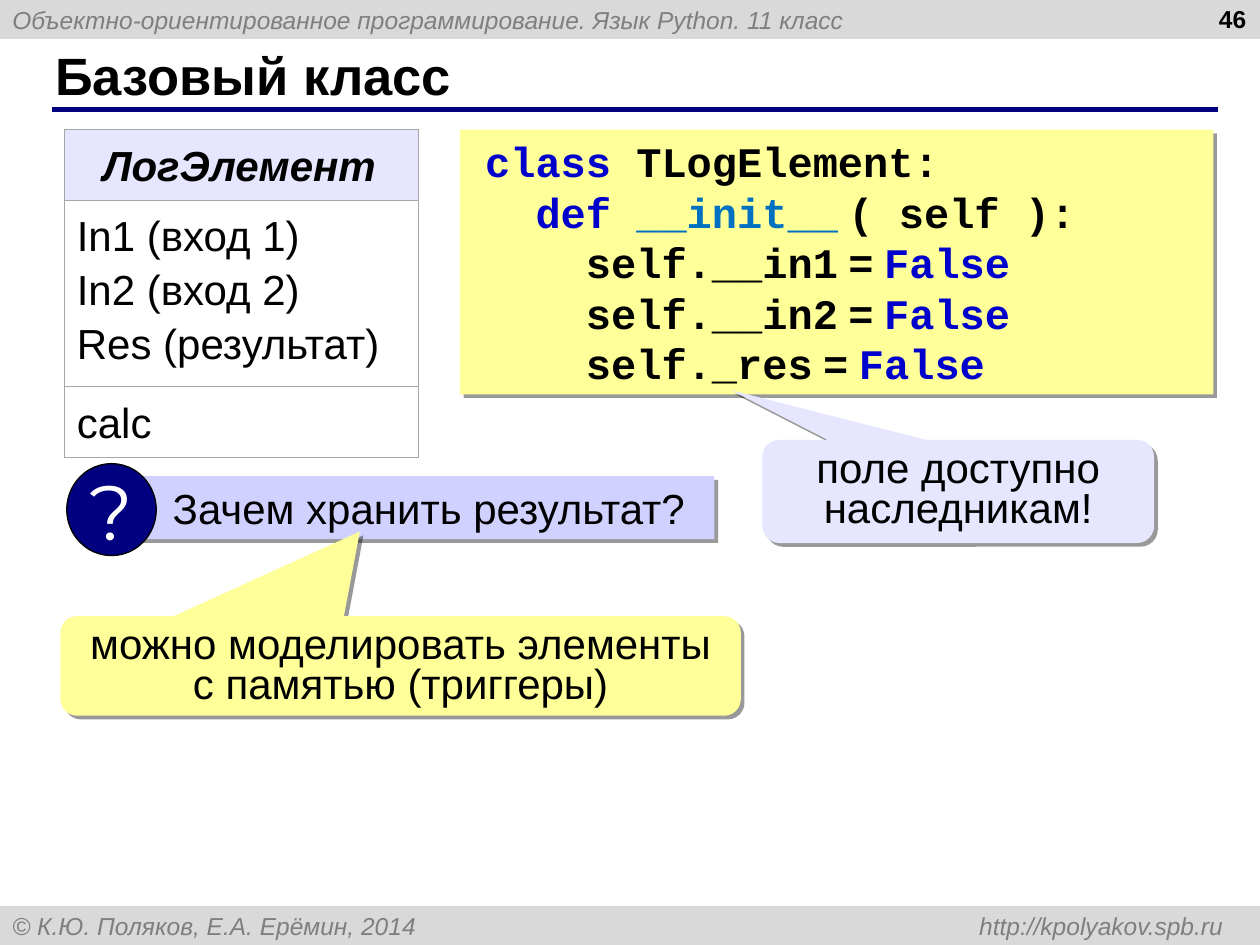
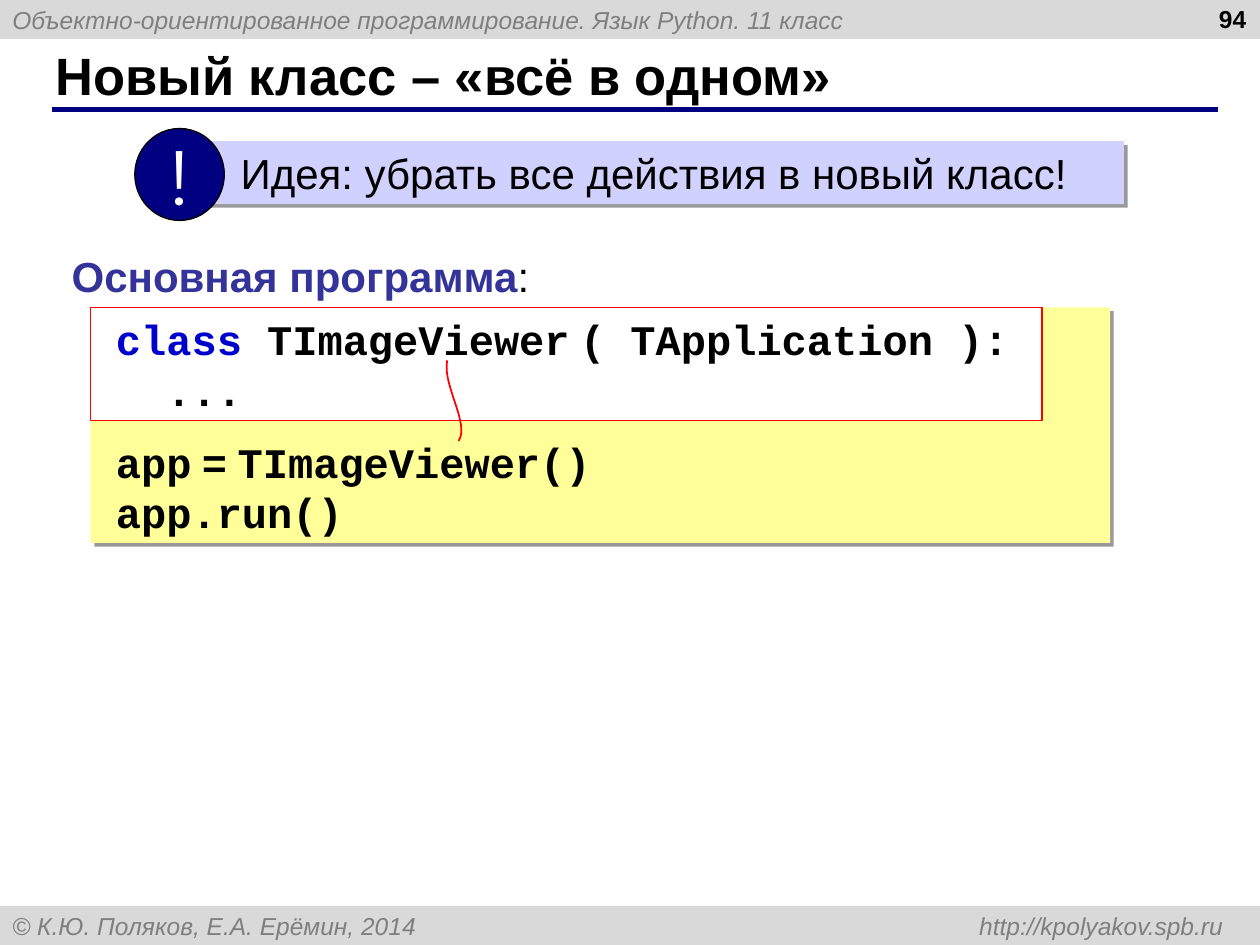
"""Build two slides on object-oriented programming: the base class and the all-in-one class."""
from lxml.etree import SubElement
from pptx import Presentation
from pptx.dml.color import RGBColor
from pptx.enum.shapes import MSO_CONNECTOR, MSO_SHAPE
from pptx.enum.text import MSO_ANCHOR, PP_ALIGN
from pptx.oxml.ns import qn
from pptx.util import Inches, Pt

BLACK = RGBColor(0x00, 0x00, 0x00)
WHITE = RGBColor(0xFF, 0xFF, 0xFF)
BAND_GREY = RGBColor(0xD9, 0xD9, 0xD9)
TEXT_GREY = RGBColor(0x7F, 0x7F, 0x7F)
BORDER_GREY = RGBColor(0xA6, 0xA6, 0xA6)
NAVY = RGBColor(0x00, 0x00, 0x80)
HEADING_BLUE = RGBColor(0x33, 0x33, 0x99)
KEYWORD_BLUE = RGBColor(0x00, 0x00, 0xCC)
METHOD_BLUE = RGBColor(0x00, 0x70, 0xC0)
YELLOW = RGBColor(0xFF, 0xFF, 0x99)
LILAC = RGBColor(0xD1, 0xD1, 0xFF)
PALE_LILAC = RGBColor(0xE6, 0xE6, 0xFF)
RED = RGBColor(0xFF, 0x00, 0x00)

BODY = {"name": "Arial", "size": Pt(24), "bold": False, "italic": False, "color": BLACK}
TITLE = {**BODY, "size": Pt(30), "bold": True}
BAND = {**BODY, "size": Pt(14), "italic": True, "color": TEXT_GREY}
NUMBER = {**BODY, "size": Pt(14), "bold": True}
BADGE = {**BODY, "name": "Montserrat", "size": Pt(44), "color": WHITE}
CODE = {**BODY, "name": "Courier New", "bold": True}
KEYWORD = {"color": KEYWORD_BLUE}
GAP = (" ", {"size": Pt(10)})


def add_box(shapes, kind, place, fill, line=None, shadow=False):
    """Add a filled preset shape with an optional outline and offset shadow."""
    shape = shapes.add_shape(kind, *map(Inches, place))
    shape.fill.solid()
    shape.fill.fore_color.rgb = fill
    if line is None:
        shape.line.fill.background()
    else:
        shape.line.color.rgb = line
        shape.line.width = Pt(0.75)
    shape.shadow.inherit = False
    if shadow:
        effects = shape._element.spPr.find(qn("a:effectLst"))
        outer = SubElement(effects, qn("a:outerShdw"), blurRad="0", dist=str(Pt(3)),
                           dir="2700000", algn="ctr", rotWithShape="0")
        colour = SubElement(outer, qn("a:srgbClr"), val=str(BLACK))
        SubElement(colour, qn("a:alpha"), val="40000")
    return shape


def write(frame, paragraphs, style, align=PP_ALIGN.LEFT, anchor=MSO_ANCHOR.TOP,
          spacing=None, left=0.1, wrap=True):
    """Fill a text frame with paragraphs, each a string or a list of (text, overrides)."""
    frame.word_wrap = wrap
    frame.vertical_anchor = anchor
    frame.margin_left = Inches(left)
    for index, content in enumerate(paragraphs):
        paragraph = frame.add_paragraph() if index else frame.paragraphs[0]
        paragraph.alignment = align
        paragraph.line_spacing = spacing
        for text, overrides in [(content, {})] if isinstance(content, str) else content:
            run = paragraph.add_run()
            run.text = text
            for attribute, value in {**style, **overrides}.items():
                if attribute == "color":
                    run.font.color.rgb = value
                else:
                    setattr(run.font, attribute, value)


presentation = Presentation()
presentation.slide_width = Inches(10)
presentation.slide_height = Inches(7.5)

slides = []
for title, number in [("Базовый класс", "46"), ("Новый класс – «всё в одном»", "94")]:
    slide = presentation.slides.add_slide(presentation.slide_layouts[6])
    slides.append(slide)
    header = add_box(slide.shapes, MSO_SHAPE.RECTANGLE, (0, 0, 10, 0.31), BAND_GREY)
    write(header.text_frame, ["Объектно-ориентированное программирование. Язык Python. 11 класс"],
          BAND, anchor=MSO_ANCHOR.MIDDLE)
    footer = add_box(slide.shapes, MSO_SHAPE.RECTANGLE, (0, 7.19, 10, 0.31), BAND_GREY)
    properties = footer.text_frame.paragraphs[0]._p.get_or_add_pPr()
    SubElement(SubElement(properties, qn("a:tabLst")), qn("a:tab"), pos=str(Inches(9.61)), algn="r")
    write(footer.text_frame, ["© К.Ю. Поляков, Е.А. Ерёмин, 2014 \thttp://kpolyakov.spb.ru"],
          BAND, anchor=MSO_ANCHOR.MIDDLE)
    rule = slide.shapes.add_connector(MSO_CONNECTOR.STRAIGHT, Inches(0.41), Inches(0.87),
                                      Inches(9.67), Inches(0.87))
    rule.line.color.rgb = NAVY
    rule.line.width = Pt(3)
    SubElement(rule._element.spPr, qn("a:effectLst"))
    title_box = slide.shapes.add_textbox(*map(Inches, (0.34, 0.33, 9.16, 0.52)))
    write(title_box.text_frame, [title], TITLE, anchor=MSO_ANCHOR.MIDDLE)
    number_box = slide.shapes.add_textbox(*map(Inches, (7.66, -0.02, 2.33, 0.52)))
    write(number_box.text_frame, [number], NUMBER, align=PP_ALIGN.RIGHT)

base_slide, viewer_slide = slides

class_rows = [
    (0.46, ["ЛогЭлемент"], PP_ALIGN.CENTER, {**BODY, "bold": True, "italic": True}),
    (1.38, ["In1 (вход 1)", "In2 (вход 2)", "Res (результат)"], PP_ALIGN.JUSTIFY, BODY),
    (0.46, ["calc"], PP_ALIGN.JUSTIFY, BODY),
]
class_table = base_slide.shapes.add_table(3, 1, *map(Inches, (0.51, 1.03, 2.81, 2.3))).table
class_table.first_row = False
class_table.horz_banding = False
for index, (height, lines, align, style) in enumerate(class_rows):
    class_table.rows[index].height = Inches(height)
    cell = class_table.cell(index, 0)
    write(cell.text_frame, lines, style, align=align, spacing=1.15, left=0.13)
    cell.margin_right = Inches(0.13)
    cell_properties = cell._tc.get_or_add_tcPr()
    for side in ("lnL", "lnR", "lnT", "lnB"):
        border = SubElement(cell_properties, qn(f"a:{side}"), w=str(Pt(0.45)))
        SubElement(SubElement(border, qn("a:solidFill")), qn("a:srgbClr"), val=str(BORDER_GREY))
    if index == 0:
        cell.fill.solid()
        cell.fill.fore_color.rgb = PALE_LILAC
    else:
        cell.fill.background()

element_code = [
    [("class", KEYWORD), (" TLogElement:", {})],
    [("  ", {}), ("def ", KEYWORD), ("__init__", {"color": METHOD_BLUE}), GAP, ("( self ):", {})],
]
for field in ("__in1", "__in2", "_res"):
    element_code.append([(f"    self.{field}", {}), GAP, ("=", {}), GAP, ("False", KEYWORD)])
run_code = [[("app", {}), GAP, ("=", {}), GAP, ("TImageViewer()", {})], "app.run()"]
viewer_code = [
    [("class", KEYWORD), (" TImageViewer", {}), GAP, ("( TApplication ):", {})],
    "  ...",
]
code_boxes = [
    (base_slide, (3.65, 1.03, 5.98, 2.1), YELLOW, None, MSO_ANCHOR.TOP, element_code),
    (viewer_slide, (0.72, 2.44, 8.09, 1.87), YELLOW, None, MSO_ANCHOR.BOTTOM, run_code),
    (viewer_slide, (0.72, 2.44, 7.55, 0.9), WHITE, RED, MSO_ANCHOR.TOP, viewer_code),
]
for slide, place, fill, line, anchor, code in code_boxes:
    box = add_box(slide.shapes, MSO_SHAPE.RECTANGLE, place, fill, line, shadow=line is None)
    write(box.text_frame, code, CODE, anchor=anchor, left=0.2)

notices = [
    (base_slide, 0.53, 3.68, 4.59, "?", "Зачем хранить результат?"),
    (viewer_slide, 1.07, 1.02, 7.3, "!", "Идея: убрать все действия в новый класс!"),
]
for slide, left, top, width, mark, text in notices:
    group = slide.shapes.add_group_shape()
    bar = add_box(group.shapes, MSO_SHAPE.RECTANGLE, (left + 0.55, top + 0.1, width, 0.5),
                  LILAC, shadow=True)
    write(bar.text_frame, [text], BODY, left=0.29)
    badge = add_box(group.shapes, MSO_SHAPE.OVAL, (left, top, 0.71, 0.73), NAVY, BLACK)
    write(badge.text_frame, [mark], BADGE, align=PP_ALIGN.CENTER, anchor=MSO_ANCHOR.MIDDLE,
          wrap=False)

callouts = [
    ((0.48, 4.89, 5.4, 0.79), YELLOW, (-0.06, -1.35),
     "можно моделировать элементы с памятью (триггеры)"),
    ((6.05, 3.49, 3.11, 0.82), PALE_LILAC, (-0.58, -0.98), "поле доступно наследникам!"),
]
for place, fill, tip, text in callouts:
    callout = add_box(base_slide.shapes, MSO_SHAPE.ROUNDED_RECTANGULAR_CALLOUT, place, fill,
                      shadow=True)
    callout.adjustments[0], callout.adjustments[1] = tip
    write(callout.text_frame, [text], BODY, align=PP_ALIGN.CENTER, spacing=0.8)

heading = viewer_slide.shapes.add_textbox(*map(Inches, (0.47, 1.94, 4.02, 0.5)))
write(heading.text_frame,
      [[("Основная программа", {"bold": True, "color": HEADING_BLUE}), (":", {})]], BODY)

curve_controls = [(3.64, 3.5), (3.73, 3.36), (3.51, 3.06), (3.55, 2.86)]
curve_points = []
for step in range(25):
    t = step / 24
    weights = ((1 - t) ** 3, 3 * t * (1 - t) ** 2, 3 * t ** 2 * (1 - t), t ** 3)
    curve_points.append(tuple(
        Inches(sum(weight * control[axis] for weight, control in zip(weights, curve_controls)))
        for axis in (0, 1)))
builder = viewer_slide.shapes.build_freeform(*curve_points[0])
builder.add_line_segments(curve_points[1:], close=False)
link_curve = builder.convert_to_shape()
link_curve.fill.background()
link_curve.line.color.rgb = RED
link_curve.line.width = Pt(1)
link_curve.shadow.inherit = False

presentation.save("out.pptx")
